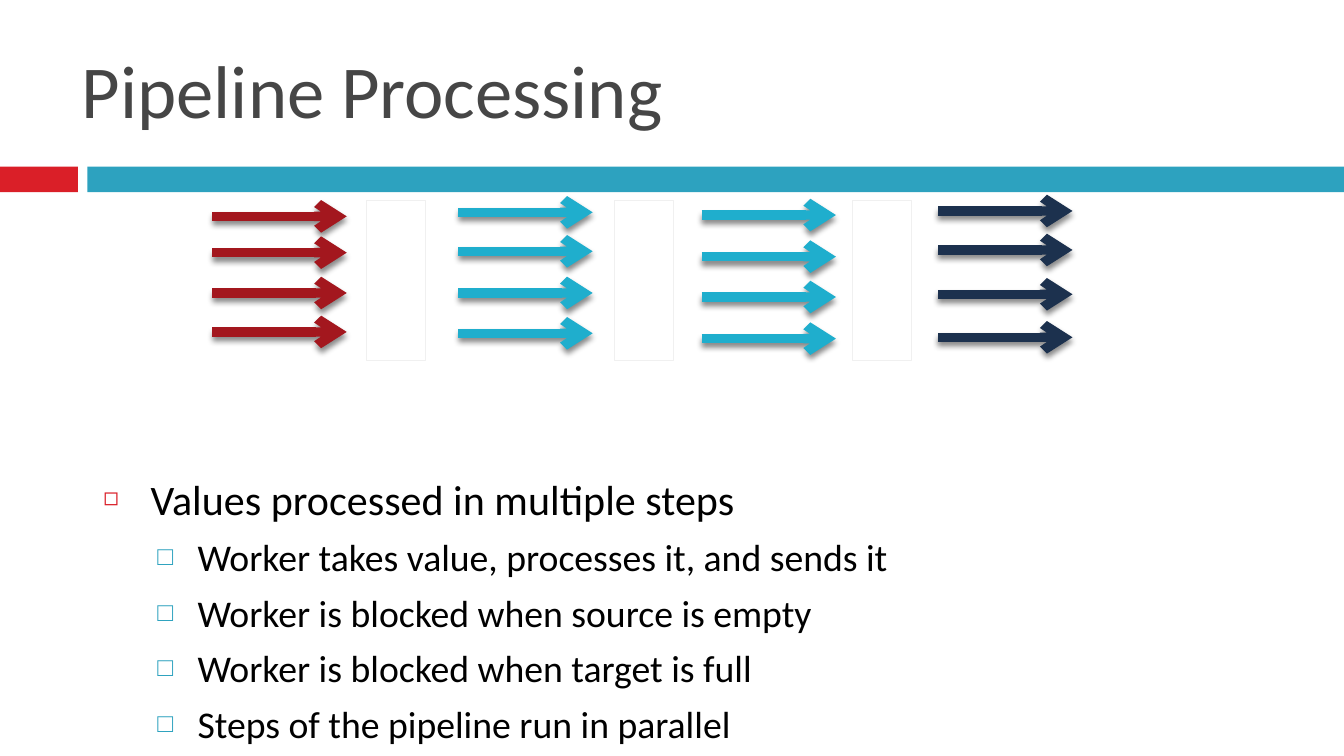
"""Build the Pipeline Processing slide."""
from pptx import Presentation
from pptx.dml.color import RGBColor as RGB
from pptx.enum.shapes import MSO_CONNECTOR as LINK, MSO_SHAPE as SHAPE
from pptx.enum.text import MSO_ANCHOR as ANCHOR, MSO_AUTO_SIZE as FIT, PP_ALIGN as ALIGN
from pptx.oxml import parse_xml
from pptx.oxml.ns import nsdecls
from pptx.util import Inches, Pt

WIDE = Inches(10)
BARS = [(0, 0.58, "DA1F28"), (0.65, 9.35, "2DA2BF")]
STAGES = [2.73, 4.57, 6.34]
FLOWS = [
    (1.58, "A3171E", [1.61, 1.88, 2.18, 2.47]),
    (3.41, "1FAECD", [1.58, 1.87, 2.18, 2.48]),
    (5.22, "1FAECD", [1.6, 1.91, 2.21, 2.52]),
    (6.98, "1C314E", [1.57, 1.86, 2.19, 2.51]),
]
LEVELS = [
    {"size": 22.5, "left": 0.35, "hang": 0.35, "mark": "◻", "hue": "DA1F28", "pct": 60},
    {"size": 20.2, "left": 0.7, "hang": 0.3, "mark": "□", "hue": "2DA2BF", "pct": 70},
]
ITEMS = [
    (0, "Values processed in multiple steps"),
    (1, "Worker takes value, processes it, and sends it"),
    (1, "Worker is blocked when source is empty"),
    (1, "Worker is blocked when target is full"),
    (1, "Steps of the pipeline run in parallel"),
]


def color(code):
    """Turn a hex string into a colour."""
    return RGB.from_string(code)


def apply(item, values):
    """Set each named attribute on an item."""
    for name, value in values.items():
        setattr(item, name, value)


def place(shape, x, y, w, h):
    """Move and size a shape in inches."""
    names = ("left", "top", "width", "height")
    apply(shape, dict(zip(names, map(Inches, (x, y, w, h)))))


def style(run, size, code):
    """Format one run of text."""
    apply(run.font, {"name": "Calibri", "size": Pt(size)})
    run.font.color.rgb = color(code)


def add_rect(slide, x, y, w, h, fill, edge=None):
    """Add a plain rectangle with an optional thin edge."""
    rect = slide.shapes.add_shape(SHAPE.RECTANGLE, *map(Inches, (x, y, w, h)))
    rect.shadow.inherit = False
    rect.fill.solid()
    rect.fill.fore_color.rgb = color(fill)
    if edge:
        rect.line.color.rgb = color(edge)
        rect.line.width = Pt(0.5)
    else:
        rect.line.fill.background()


def add_arrow(slide, x, y, code):
    """Add a level arrow with a soft shadow."""
    arrow = slide.shapes.add_connector(LINK.STRAIGHT, *map(Inches, (x, y, x + 1, y)))
    arrow.line.color.rgb = color(code)
    arrow.line.width = Pt(5)
    arrow.line._get_or_add_ln().append(parse_xml(f'<a:tailEnd {nsdecls("a")} type="arrow"/>'))
    arrow._element.spPr.append(parse_xml(
        f'<a:effectLst {nsdecls("a")}>'
        f'<a:outerShdw blurRad="{Pt(3)}" dist="{Pt(2.4)}" dir="5400000" rotWithShape="0">'
        '<a:srgbClr val="000000"><a:alpha val="45000"/></a:srgbClr>'
        '</a:outerShdw></a:effectLst>'))


def add_mark(para, left, hang, mark, hue, pct):
    """Give a paragraph its bullet and hanging indent."""
    props = para._p.get_or_add_pPr()
    props.set("marL", str(Inches(left)))
    props.set("indent", str(-Inches(hang)))
    for body in (f'buClr {nsdecls("a")}><a:srgbClr val="{hue}"/></a:buClr>',
                 f'buSzPct {nsdecls("a")} val="{pct * 1000}"/>',
                 f'buChar {nsdecls("a")} char="{mark}"/>'):
        props.append(parse_xml("<a:" + body))


def fill_title(shape):
    """Write the slide title."""
    place(shape, 0.51, 0.21, 8.99, 0.83)
    apply(shape.text_frame, {"vertical_anchor": ANCHOR.BOTTOM, "auto_size": FIT.NONE,
                             "margin_bottom": Inches(0.05)})
    para = shape.text_frame.paragraphs[0]
    para.alignment = ALIGN.LEFT
    run = para.add_run()
    run.text = "Pipeline Processing"
    style(run, 40, "464646")


def fill_list(shape):
    """Write the two-level list."""
    place(shape, 0.67, 3.47, 8.92, 2.1)
    frame = shape.text_frame
    apply(frame, {"vertical_anchor": ANCHOR.TOP, "auto_size": FIT.NONE})
    for pos, (level, text) in enumerate(ITEMS):
        para = frame.add_paragraph() if pos else frame.paragraphs[0]
        form = dict(LEVELS[level])
        size = form.pop("size")
        add_mark(para, **form)
        apply(para, {"level": level, "alignment": ALIGN.LEFT,
                     "space_before": Pt(5.5 if pos else 0)})
        run = para.add_run()
        run.text = text
        style(run, size, "000000")


def main():
    """Build and save the slide."""
    deck = Presentation()
    apply(deck, {"slide_width": WIDE, "slide_height": WIDE * 9 // 16})
    slide = deck.slides.add_slide(deck.slide_layouts[1])
    for x, w, code in BARS:
        add_rect(slide, x, 1.24, w, 0.19, code)
    fill_title(slide.shapes.title)
    fill_list(slide.placeholders[1])
    for x in STAGES:
        add_rect(slide, x, 1.49, 0.44, 1.19, "FFFFFF", "F0F0F0")
    for x, code, rows in FLOWS:
        for y in rows:
            add_arrow(slide, x, y, code)
    deck.save("out.pptx")


if __name__ == "__main__":
    main()
